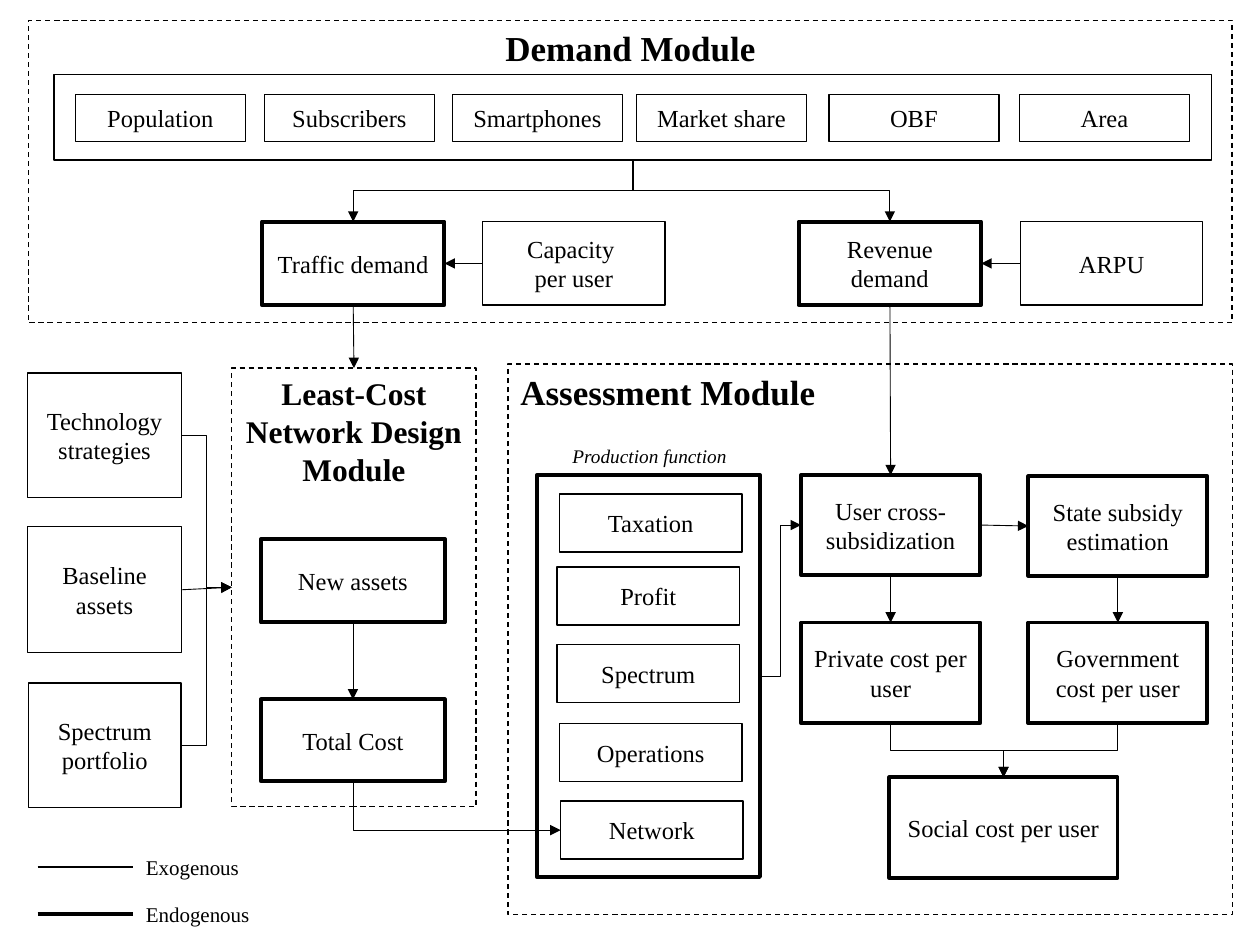
from dataclasses import dataclass
from typing import NamedTuple

from lxml.etree import SubElement
from pptx import Presentation
from pptx.dml.color import RGBColor
from pptx.enum.dml import MSO_LINE
from pptx.enum.shapes import MSO_CONNECTOR as CXN, MSO_SHAPE
from pptx.enum.text import MSO_ANCHOR as ANCHOR, PP_ALIGN as ALIGN
from pptx.oxml.ns import qn
from pptx.util import Cm, Pt


@dataclass(frozen=True)
class Theme:
    """Colours, font, type sizes and line widths in points."""
    ink: RGBColor = RGBColor(0, 0, 0)
    font: str = "Times New Roman"
    title: float = 20
    subtitle: float = 18
    body: float = 14
    legend: float = 12
    caption: float = 11
    arrow: float = 0.5
    thin: float = 0.75
    key: float = 1
    thick: float = 2.25


class Box(NamedTuple):
    """A rectangle in centimetres, with an optional key for links."""
    text: str
    x: float
    y: float
    w: float
    h: float
    thick: bool = False
    key: str = ""


class Module(NamedTuple):
    """A dashed frame with a bold heading."""
    box: Box
    size: float
    align: ALIGN = ALIGN.CENTER


class Link(NamedTuple):
    """An arrow between connection sites of two boxes."""
    start: str
    start_site: int
    end: str
    end_site: int
    kind: str = "straight"


T = Theme()
TOP, LEFT, BOTTOM, RIGHT = range(4)

MODULES = [
    Module(Box("Demand Module", 0.58, 0.41, 24.26, 6.1), T.title),
    Module(Box("Least-Cost Network Design Module", 4.67, 7.42, 4.93, 8.84), T.subtitle),
    Module(Box("Assessment Module", 10.24, 7.34, 14.61, 11.1), T.title, ALIGN.LEFT),
]
INPUTS = [("Population", 1.52), ("Subscribers", 5.33), ("Smartphones", 9.12),
          ("Market share", 12.83), ("OBF", 16.71), ("Area", 20.55)]
DEMAND = [("Traffic demand", 5.28, True), ("Capacity \nper user", 9.73, False),
          ("Revenue demand", 16.1, True), ("ARPU", 20.57, False)]
PRODUCTION = [("Taxation", 11.28, 9.96), ("Profit", 11.23, 11.43), ("Spectrum", 11.23, 13),
              ("Operations", 11.28, 14.58), ("Network", 11.3, 16.15)]
BOXES = [
    Box("", 1.09, 1.5, 23.34, 1.73, key="inputs"),
    Box("", 10.82, 9.58, 4.5, 8.1, True, "production"),
    *(Box(name, x, 1.9, 3.43, 0.96) for name, x in INPUTS),
    *(Box(name, x, 4.47, 3.68, 1.68, thick) for name, x, thick in DEMAND),
    *(Box(name, x, y, 3.68, 1.17) for name, x, y in PRODUCTION),
    Box("Technology strategies", 0.56, 7.52, 3.1, 2.51),
    Box("Baseline assets", 0.56, 10.62, 3.1, 2.54),
    Box("Spectrum portfolio", 0.58, 13.77, 3.07, 2.51),
    Box("New assets", 5.26, 10.87, 3.71, 1.68, True),
    Box("Total Cost", 5.26, 14.1, 3.71, 1.65, True),
    Box("User cross-subsidization", 16.15, 9.58, 3.61, 2.01, True),
    Box("State subsidy estimation", 20.73, 9.6, 3.61, 2.01, True),
    Box("Private cost per user", 16.15, 12.55, 3.61, 2.03, True),
    Box("Government cost per user", 20.73, 12.55, 3.61, 2.03, True),
    Box("Social cost per user", 17.93, 15.67, 4.6, 2.03, True),
]
DESIGN = "Least-Cost Network Design Module"
LINKS = [
    Link("Capacity \nper user", LEFT, "Traffic demand", RIGHT),
    Link("ARPU", LEFT, "Revenue demand", RIGHT),
    Link("inputs", BOTTOM, "Traffic demand", TOP, "down"),
    Link("inputs", BOTTOM, "Revenue demand", TOP, "down"),
    Link("New assets", BOTTOM, "Total Cost", TOP),
    Link("Technology strategies", RIGHT, DESIGN, LEFT, "across"),
    Link("Baseline assets", RIGHT, DESIGN, LEFT),
    Link("Spectrum portfolio", RIGHT, DESIGN, LEFT, "across"),
    Link("Traffic demand", BOTTOM, DESIGN, TOP),
    Link("Total Cost", BOTTOM, "Network", LEFT, "corner"),
    Link("Revenue demand", BOTTOM, "User cross-subsidization", TOP),
    Link("production", RIGHT, "User cross-subsidization", LEFT, "across"),
    Link("User cross-subsidization", RIGHT, "State subsidy estimation", LEFT),
    Link("User cross-subsidization", BOTTOM, "Private cost per user", TOP),
    Link("State subsidy estimation", BOTTOM, "Government cost per user", TOP),
    Link("Private cost per user", BOTTOM, "Social cost per user", TOP, "down"),
    Link("Government cost per user", BOTTOM, "Social cost per user", TOP, "down"),
]


def write(sp, text: str, *, size: float = T.body, bold: bool = False, italic: bool = False,
          align: ALIGN = ALIGN.CENTER, anchor: ANCHOR = ANCHOR.MIDDLE) -> None:
    """Fill a shape with formatted text, one paragraph a line."""
    tf = sp.text_frame
    tf.word_wrap, tf.vertical_anchor = True, anchor
    for i, line in enumerate(text.split("\n")):
        p = tf.add_paragraph() if i else tf.paragraphs[0]
        p.alignment = align
        r = p.add_run()
        r.text = line
        r.font.name, r.font.size = T.font, Pt(size)
        r.font.bold, r.font.italic = bold, italic
        r.font.color.rgb = T.ink


def add_box(s, box: Box):
    """Draw an unfilled rectangle."""
    sp = s.shapes.add_shape(MSO_SHAPE.RECTANGLE, *map(Cm, box[1:5]))
    sp.shadow.inherit = False
    sp.fill.background()
    sp.line.color.rgb = T.ink
    sp.line.width = Pt(T.thick if box.thick else T.thin)
    return sp


def add_label(s, text: str, x: float, y: float, w: float, h: float, **fmt) -> None:
    """Place a free text label."""
    write(s.shapes.add_textbox(*map(Cm, (x, y, w, h))), text, **fmt)


def add_line(s, kind: CXN, ends: tuple, width: float, arrow: bool = False):
    """Draw a black connector without shadow."""
    c = s.shapes.add_connector(kind, *ends)
    c.line.color.rgb, c.line.width = T.ink, Pt(width)
    if arrow:
        SubElement(c.line._get_or_add_ln(), qn("a:tailEnd"), type="triangle")
    SubElement(c.element.spPr, qn("a:effectLst"))
    return c


def add_link(s, link: Link, shapes: dict) -> None:
    """Glue an arrow to two shapes; turn it when it leaves downwards."""
    kind = CXN.STRAIGHT if link.kind == "straight" else CXN.ELBOW
    c = add_line(s, kind, (0, 0, 0, 0), T.arrow, arrow=True)
    c.begin_connect(shapes[link.start], link.start_site)
    c.end_connect(shapes[link.end], link.end_site)
    if link.kind in ("down", "corner"):
        x1, y1, x2, y2 = c.begin_x, c.begin_y, c.end_x, c.end_y
        mid_x, mid_y = (x1 + x2) // 2, (y1 + y2) // 2
        half_w, half_h = abs(x2 - x1) // 2, abs(y2 - y1) // 2
        side = 1 if x2 > x1 else -1
        c.begin_x, c.begin_y = mid_x + side * half_h, mid_y - half_w
        c.end_x, c.end_y = mid_x - side * half_h, mid_y + half_w
        c.rotation = 270 if side > 0 else 90
    if link.kind == "corner":
        c.element.spPr.find(qn("a:prstGeom")).set("prst", "bentConnector2")


def main() -> None:
    """Build the slide and save it."""
    prs = Presentation()
    prs.slide_width, prs.slide_height = Cm(25.4), Cm(19.05)
    s = prs.slides.add_slide(prs.slide_layouts[6])
    shapes = {}
    for box, size, align in MODULES:
        sp = shapes[box.text] = add_box(s, box)
        sp.line.dash_style = MSO_LINE.DASH
        write(sp, box.text, size=size, bold=True, align=align, anchor=ANCHOR.TOP)
    for box in BOXES:
        sp = shapes[box.key or box.text] = add_box(s, box)
        if box.text:
            write(sp, box.text)
    for link in LINKS:
        add_link(s, link, shapes)
    add_label(s, "Production function", 10.87, 8.53, 4.45, 1.3, size=T.caption, italic=True)
    for name, y, width in (("Exogenous", 17.48, T.key), ("Endogenous", 18.42, T.thick)):
        add_line(s, CXN.STRAIGHT, (Cm(0.76), Cm(y), Cm(2.69), Cm(y)), width)
        add_label(s, name, 2.69, y - 0.65, 3.68, 1.3, size=T.legend, align=ALIGN.LEFT)
    prs.save("out.pptx")


main()
